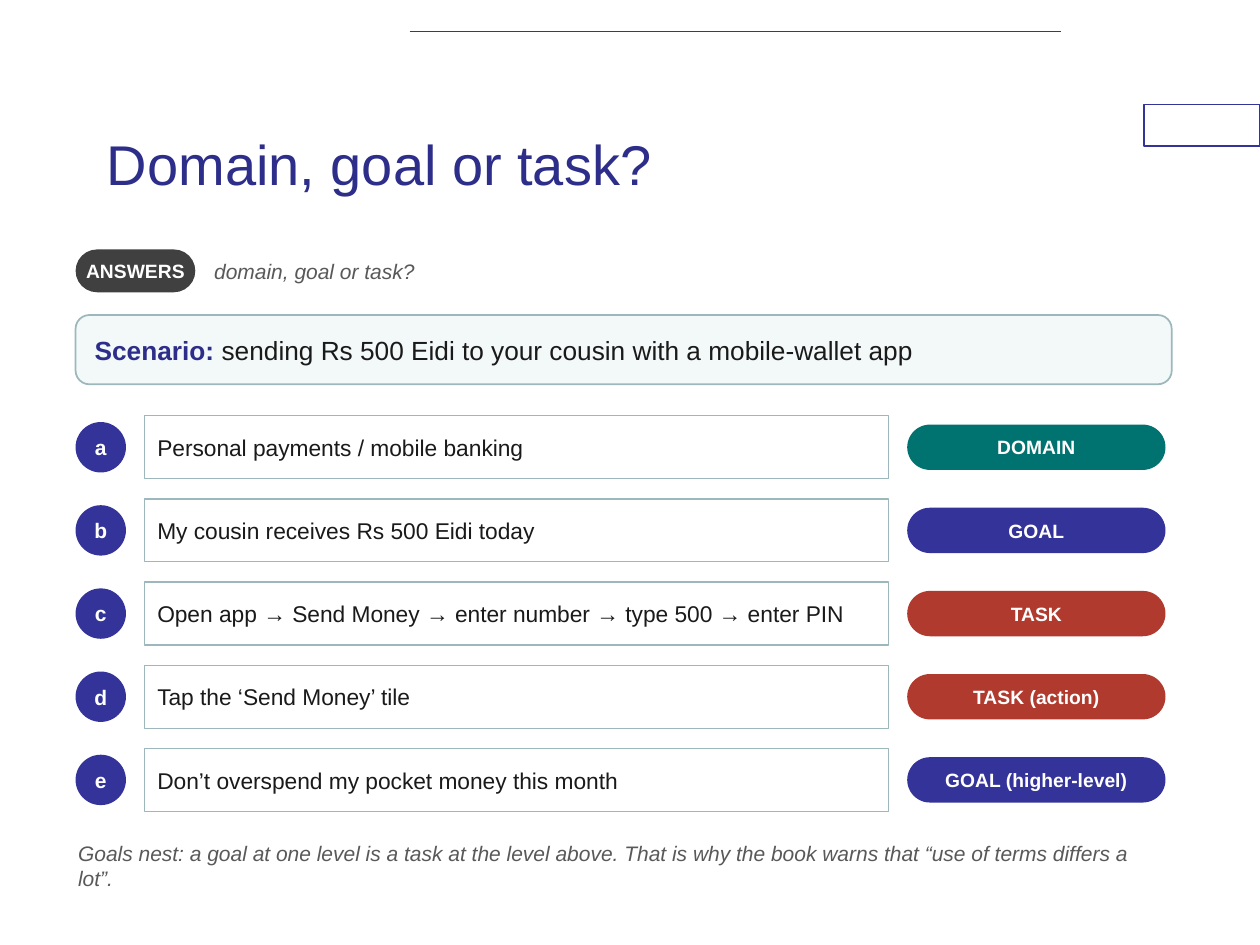
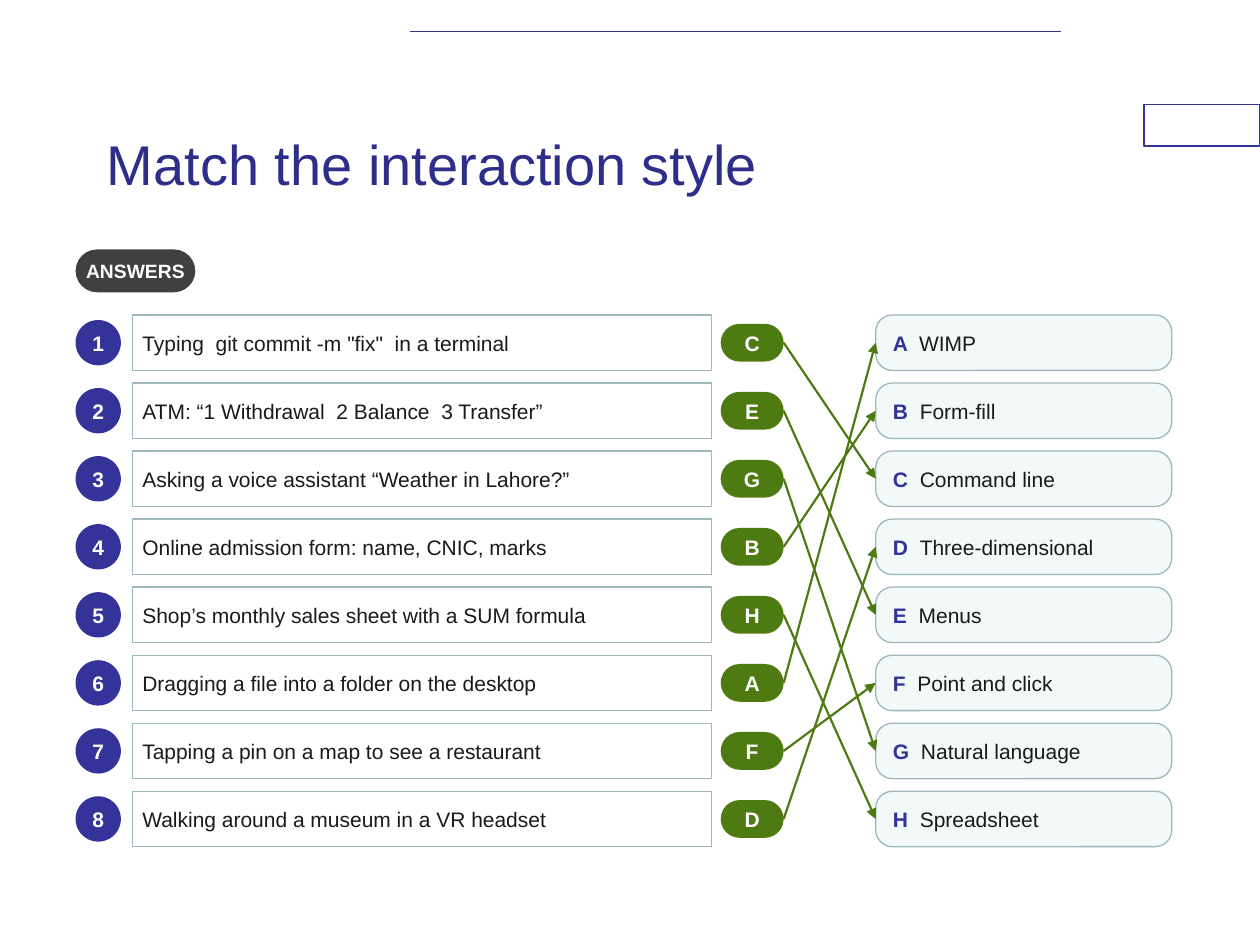
from dataclasses import dataclass

from lxml import etree
from pptx import Presentation
from pptx import util as u
from pptx.dml import color as clr
from pptx.enum import shapes, text
from pptx.oxml import ns
from pptx.shapes import autoshape, connector
from pptx.slide import Slide

FONT = "Arial"
NAVY, BLUE, TEAL, RED, GREEN = "2D2D8A", "333399", "00726F", "B03A2E", "4E7A12"
INK, GREY, DARK, EDGE, PALE, WHITE = "1A1A1A", "595959", "404040", "9DB8BC", "F3F8F9", "FFFFFF"
KIND = shapes.MSO_SHAPE
LEFT, WIDTH = 0.6, 8.7


@dataclass(frozen=True)
class Box:
    """Place of an item in inches."""
    x: float
    y: float
    w: float
    h: float


@dataclass(frozen=True)
class Grid:
    """Measures shared by the rows of one slide, in inches and points."""
    top: float
    step: float
    high: float
    mark: float
    card_x: float
    card_w: float
    card_pad: float
    card_size: float
    pill_x: float
    pill_w: float
    pill_h: float
    pill_size: float

    def mid(self, row: int) -> float:
        """Return the middle height of a row."""
        return self.top + row * self.step + self.high / 2

    def cell(self, row: int, x: float, w: float, h: float) -> Box:
        """Return a box centred on a row."""
        return Box(x, self.mid(row) - h / 2, w, h)


@dataclass(frozen=True)
class Row:
    """One numbered statement and its answer."""
    mark: str
    words: str
    reply: str
    tint: str = GREEN


SORT = Grid(3.3, 0.66, 0.5, 0.4, 1.15, 5.9, 0.1, 13, 7.2, 2.05, 0.36, 11)
MATCH = Grid(2.5, 0.54, 0.44, 0.36, 1.05, 4.6, 0.08, 12, 5.72, 0.5, 0.3, 12)

TERMS = [
    Row("a", "Personal payments / mobile banking", "DOMAIN", TEAL),
    Row("b", "My cousin receives Rs 500 Eidi today", "GOAL", BLUE),
    Row("c", "Open app → Send Money → enter number → type 500 → enter PIN", "TASK", RED),
    Row("d", "Tap the ‘Send Money’ tile", "TASK (action)", RED),
    Row("e", "Don’t overspend my pocket money this month", "GOAL (higher-level)", BLUE),
]
CASES = [
    Row("1", 'Typing  git commit -m "fix"  in a terminal', "C"),
    Row("2", "ATM: “1 Withdrawal  2 Balance  3 Transfer”", "E"),
    Row("3", "Asking a voice assistant “Weather in Lahore?”", "G"),
    Row("4", "Online admission form: name, CNIC, marks", "B"),
    Row("5", "Shop’s monthly sales sheet with a SUM formula", "H"),
    Row("6", "Dragging a file into a folder on the desktop", "A"),
    Row("7", "Tapping a pin on a map to see a restaurant", "F"),
    Row("8", "Walking around a museum in a VR headset", "D"),
]
STYLES = {
    "A": "WIMP", "B": "Form-fill", "C": "Command line", "D": "Three-dimensional",
    "E": "Menus", "F": "Point and click", "G": "Natural language", "H": "Spreadsheet",
}


def rgb(code: str) -> clr.RGBColor:
    """Turn a hex string into a colour."""
    return clr.RGBColor.from_string(code)


def area(box: Box) -> list[u.Length]:
    """Return a box as four lengths."""
    return [u.Inches(n) for n in (box.x, box.y, box.w, box.h)]


def write(frame: text.MSO_ANCHOR, words: str, *, size: float = 12, tint: str = INK,
          bold: bool = False, slant: bool = False, mid: bool = False, pad: float = 0.02,
          top: bool = False, lead: str = "", lead_tint: str = BLUE) -> None:
    """Fill a text frame with one paragraph and an optional bold lead."""
    frame.word_wrap = True
    frame.vertical_anchor = text.MSO_ANCHOR.TOP if top else text.MSO_ANCHOR.MIDDLE
    frame.margin_left = frame.margin_right = u.Inches(pad)
    frame.margin_top = frame.margin_bottom = u.Inches(pad)
    para = frame.paragraphs[0]
    para.alignment = text.PP_ALIGN.CENTER if mid else text.PP_ALIGN.LEFT
    for part, hue, heavy in ((lead, lead_tint, True), (words, tint, bold)):
        if part:
            run = para.add_run()
            run.text = part
            font = run.font
            font.name, font.size, font.bold, font.italic = FONT, u.Pt(size), heavy, slant
            font.color.rgb = rgb(hue)


def label(slide: Slide, box: Box, words: str, **form) -> None:
    """Add a plain text box."""
    write(slide.shapes.add_textbox(*area(box)).text_frame, words, **form)


def shape(slide: Slide, kind: shapes.MSO_SHAPE, box: Box, words: str = "", *, fill: str = "",
          edge: str = "", thick: float = 0.75, curve: float | None = None,
          **form) -> autoshape.Shape:
    """Add a preset shape with its text."""
    item = slide.shapes.add_shape(kind, *area(box))
    item.shadow.inherit = False
    if curve is not None:
        item.adjustments[0] = curve
    if fill:
        item.fill.solid()
        item.fill.fore_color.rgb = rgb(fill)
    else:
        item.fill.background()
    if edge:
        item.line.color.rgb = rgb(edge)
        item.line.width = u.Pt(thick)
    else:
        item.line.fill.background()
    if words:
        write(item.text_frame, words, **form)
    return item


def pill(slide: Slide, box: Box, words: str, fill: str, **form) -> autoshape.Shape:
    """Add a filled pill with bold white text."""
    return shape(slide, KIND.ROUNDED_RECTANGLE, box, words, fill=fill, curve=0.5,
                 tint=WHITE, bold=True, mid=True, **form)


def rule(slide: Slide, x1: float, y1: float, x2: float, y2: float, tint: str,
         thick: float) -> connector.Connector:
    """Add a straight line."""
    line = slide.shapes.add_connector(shapes.MSO_CONNECTOR.STRAIGHT,
                                      *[u.Inches(n) for n in (x1, y1, x2, y2)])
    line.line.color.rgb = rgb(tint)
    line.line.width = u.Pt(thick)
    etree.SubElement(line._element.spPr, ns.qn("a:effectLst"))
    return line


def arrow(slide: Slide, start: autoshape.Shape, end: autoshape.Shape) -> None:
    """Join the right side of one shape to the left side of another."""
    line = rule(slide, 0, 0, 1, 1, GREEN, 1.25)
    line.begin_connect(start, 3)
    line.end_connect(end, 1)
    etree.SubElement(line.line._get_or_add_ln(), ns.qn("a:tailEnd"), type="triangle")


def page(deck: Presentation, title: str) -> Slide:
    """Add a slide with the shared frame, title and answers tag."""
    slide = deck.slides.add_slide(deck.slide_layouts[6])
    shape(slide, KIND.RECTANGLE, Box(9.08, 0.83, 0.92, 0.33), fill=WHITE, edge=BLUE)
    rule(slide, 3.25, 0.25, 8.42, 0.25, BLUE, 1)
    label(slide, Box(0.75, 0.67, 7.5, 1.25), title, size=32, tint=NAVY, pad=0.1)
    pill(slide, Box(LEFT, 1.98, 0.95, 0.34), "ANSWERS", DARK, size=11, pad=0.03)
    return slide


def table(slide: Slide, grid: Grid, rows: list[Row]) -> list[autoshape.Shape]:
    """Draw marks, statements and answers; return the answer pills."""
    pills = []
    for i, row in enumerate(rows):
        shape(slide, KIND.OVAL, grid.cell(i, LEFT, grid.mark, grid.mark), row.mark,
              fill=BLUE, tint=WHITE, bold=True, mid=True, pad=0)
        shape(slide, KIND.RECTANGLE, grid.cell(i, grid.card_x, grid.card_w, grid.high),
              row.words, edge=EDGE, size=grid.card_size, pad=grid.card_pad)
        pills.append(pill(slide, grid.cell(i, grid.pill_x, grid.pill_w, grid.pill_h),
                          row.reply, row.tint, size=grid.pill_size))
    return pills


def sort(deck: Presentation) -> None:
    """Build the domain, goal or task slide."""
    slide = page(deck, "Domain, goal or task?")
    label(slide, Box(1.68, 1.98, 6, 0.34), "domain, goal or task?", tint=GREY, slant=True)
    shape(slide, KIND.ROUNDED_RECTANGLE, Box(LEFT, 2.5, WIDTH, 0.55),
          "sending Rs 500 Eidi to your cousin with a mobile-wallet app", lead="Scenario: ",
          lead_tint=NAVY, fill=PALE, edge=EDGE, thick=1, curve=0.2, size=15, pad=0.12)
    table(slide, SORT, TERMS)
    label(slide, Box(LEFT, 6.65, WIDTH, 0.45),
          "Goals nest: a goal at one level is a task at the level above. "
          "That is why the book warns that “use of terms differs a lot”.",
          tint=GREY, slant=True, top=True)


def match(deck: Presentation) -> None:
    """Build the interaction style slide."""
    slide = page(deck, "Match the interaction style")
    pills = table(slide, MATCH, CASES)
    cards = {
        key: shape(slide, KIND.ROUNDED_RECTANGLE, MATCH.cell(i, 6.95, 2.35, MATCH.high), name,
                   lead=f"{key}  ", fill=PALE, edge=EDGE, curve=0.3, pad=0.1)
        for i, (key, name) in enumerate(STYLES.items())
    }
    for start, case in zip(pills, CASES):
        arrow(slide, start, cards[case.reply])


def main() -> None:
    """Build and save the deck."""
    deck = Presentation()
    deck.slide_width, deck.slide_height = u.Inches(10), u.Inches(7.5)
    sort(deck)
    match(deck)
    deck.save("out.pptx")


if __name__ == "__main__":
    main()
